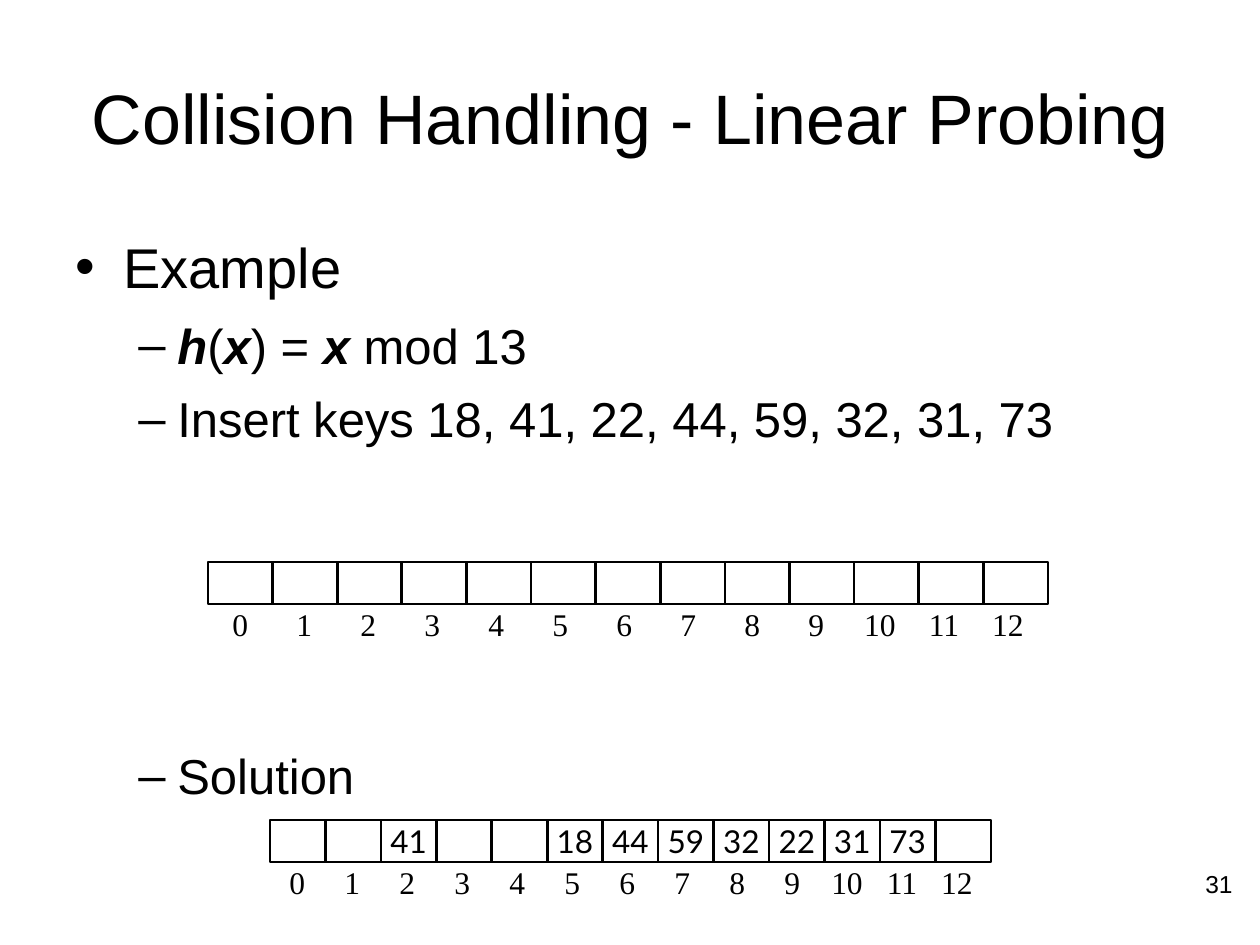
from lxml.etree import SubElement
from pptx import Presentation
from pptx.dml.color import RGBColor
from pptx.enum.shapes import MSO_SHAPE as Shape
from pptx.enum.text import MSO_ANCHOR as Anchor, MSO_AUTO_SIZE as AutoSize, PP_ALIGN as Align
from pptx.oxml.ns import qn
from pptx.util import Emu, Pt

PX_PER_INCH = 126
BLACK = "000000"
SLOTS = 13
CELL_HEIGHT = 42
KEYS = {2: "41", 5: "18", 6: "44", 7: "59", 8: "32", 9: "22", 10: "31", 11: "73"}
BODY = [
    (0, 0, [("Example", False)]),
    (1, 9, [("h", True), ("(", False), ("x", True), (") =", False),
            (" x ", True), ("mod 13", False)]),
    (1, 8.5, [("Insert keys 18, 41, 22, 44, 59, 32, 31, 73", False)]),
    (1, 170.5, [("Solution", False)]),
]
LEVELS = [("•", 32, 48, -48), ("–", 28, 102, -39)]


def px(length):
    """Turn a length in px into EMU."""
    return Emu(round(length * 914400 / PX_PER_INCH))


def color(hex_code):
    """Turn a hex string into a colour."""
    return RGBColor.from_string(hex_code)


def style(paragraph, size, name="Arial", align=Align.LEFT):
    """Set the font and alignment of a paragraph."""
    paragraph.alignment = align
    paragraph.font.size = Pt(size)
    paragraph.font.name = name
    paragraph.font.color.rgb = color(BLACK)


def add_bullet(paragraph, symbol, margin, indent):
    """Give a paragraph a hanging bullet."""
    properties = paragraph._p.get_or_add_pPr()
    properties.set("marL", str(px(margin)))
    properties.set("indent", str(px(indent)))
    SubElement(properties, qn("a:buFont")).set("typeface", "Arial")
    SubElement(properties, qn("a:buChar")).set("char", symbol)


def add_title(slide, text):
    """Place and format the title placeholder."""
    title = slide.shapes.title
    title.left, title.top, title.width, title.height = px(63), px(38), px(1134), px(158)
    frame = title.text_frame
    frame.text = text
    frame.auto_size = AutoSize.NONE
    frame.vertical_anchor = Anchor.MIDDLE
    style(frame.paragraphs[0], 40, align=Align.CENTER)


def add_body(slide):
    """Add the bulleted example text."""
    frame = slide.shapes.add_textbox(px(63), px(220), px(1134), px(624)).text_frame
    frame.word_wrap = True
    frame.margin_top = px(12)
    for number, (level, space, runs) in enumerate(BODY):
        paragraph = frame.add_paragraph() if number else frame.paragraphs[0]
        symbol, size, margin, indent = LEVELS[level]
        paragraph.level = level
        paragraph.space_before = Pt(space)
        add_bullet(paragraph, symbol, margin, indent)
        style(paragraph, size)
        for text, emphasis in runs:
            run = paragraph.add_run()
            run.text = text
            if emphasis:
                run.font.bold = run.font.italic = True


def add_cell(shapes, left, top, width, key):
    """Add one slot of the hash table with its key, if any."""
    cell = shapes.add_shape(Shape.RECTANGLE, px(left), px(top), px(width), px(CELL_HEIGHT))
    cell.shadow.inherit = False
    cell.fill.background()
    cell.line.color.rgb = color(BLACK)
    cell.line.width = Pt(1.5)
    if key:
        frame = cell.text_frame
        frame.text = key
        frame.word_wrap = False
        frame.vertical_anchor = Anchor.MIDDLE
        style(frame.paragraphs[0], 18, "Lato", Align.CENTER)


def add_label(shapes, left, top, width, height, text, size, name, align):
    """Add a one-line text box."""
    frame = shapes.add_textbox(px(left), px(top), px(width), px(height)).text_frame
    frame.text = text
    frame.word_wrap = False
    style(frame.paragraphs[0], size, name, align)


def add_hash_table(slide, left, top, width, first_center, label_step, keys):
    """Add a grouped row of slots with their indexes below."""
    shapes = slide.shapes.add_group_shape().shapes
    cell_width = width / SLOTS
    for index in range(SLOTS):
        add_cell(shapes, left + index * cell_width, top, cell_width, keys.get(index))
    for index in range(SLOTS):
        label_width = 40 if index < 10 else 57
        center = first_center + index * label_step
        add_label(shapes, center - label_width / 2, top + 37, label_width, 50,
                  str(index), 18, "Times New Roman", Align.CENTER)


def main():
    """Build the slide and save it."""
    presentation = Presentation()
    presentation.slide_width, presentation.slide_height = px(1260), px(945)
    slide = presentation.slides.add_slide(presentation.slide_layouts[5])
    add_title(slide, "Collision Handling - Linear Probing")
    add_body(slide)
    add_hash_table(slide, 270, 820, 721, 297, 55, KEYS)
    add_hash_table(slide, 208, 562, 840, 240, 64, {})
    add_label(slide.shapes, 951, 863, 294, 66, "31", 14, "Arial", Align.RIGHT)
    presentation.save("out.pptx")


if __name__ == "__main__":
    main()
